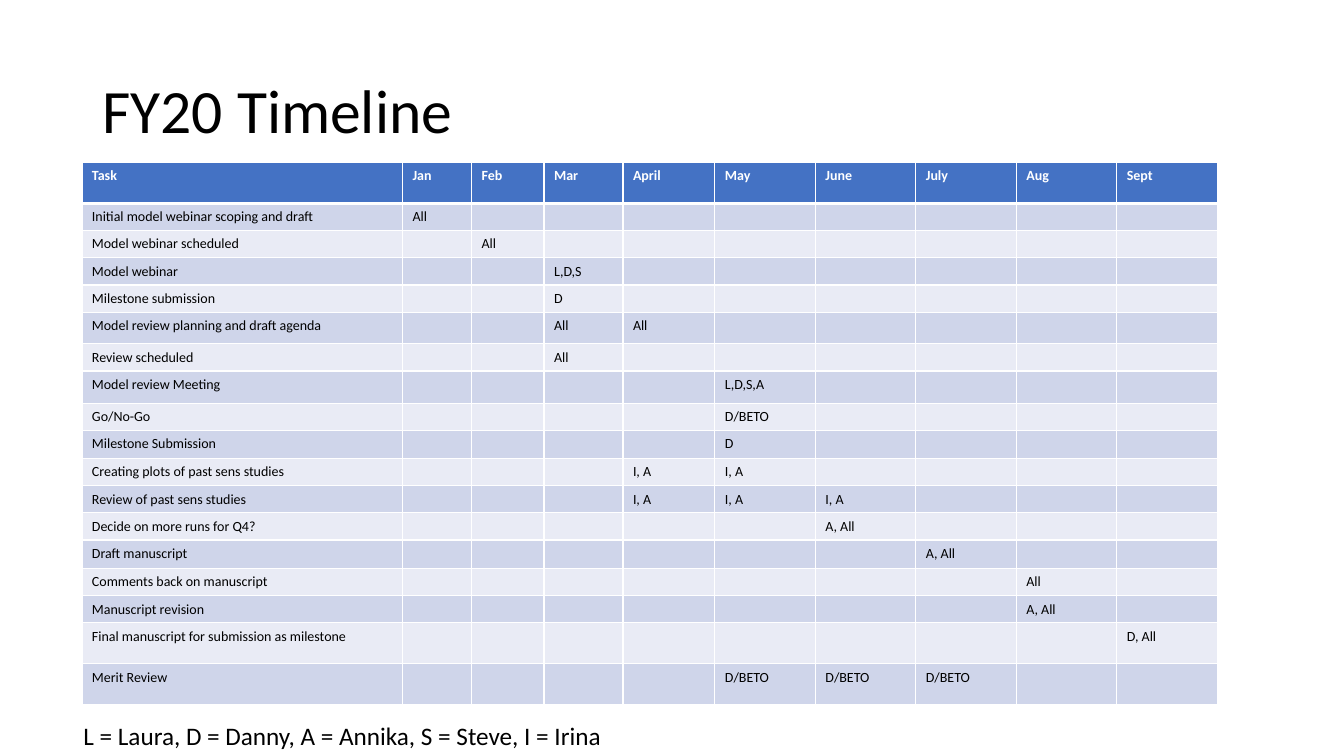
"""Builds the FY20 timeline slide with its task table and legend."""
from lxml.etree import SubElement
from pptx import Presentation
from pptx.dml.color import RGBColor
from pptx.enum.text import MSO_ANCHOR as Anchor, MSO_AUTO_SIZE as AutoSize, PP_ALIGN as Align
from pptx.oxml.ns import qn
from pptx.util import Pt

FONT = "Calibri"
BLACK = RGBColor(0x00, 0x00, 0x00)
WHITE = RGBColor(0xFF, 0xFF, 0xFF)
HEADER = RGBColor(0x44, 0x72, 0xC4)
BANDS = (RGBColor(0xE9, 0xEB, 0xF5), RGBColor(0xCF, 0xD5, 0xEA))

MONTHS = ["Jan", "Feb", "Mar", "April", "May", "June", "July", "Aug", "Sept"]
COL_WIDTHS = [229, 49.3, 51.8, 56.4, 65.7] + [71.8] * 5
ROW = 19.4
TALL_ROW = 29.2
TASKS = [
    ("Initial model webinar scoping and draft", ROW, {"Jan": "All"}),
    ("Model webinar scheduled", ROW, {"Feb": "All"}),
    ("Model webinar", ROW, {"Mar": "L,D,S"}),
    ("Milestone submission", 19.8, {"Mar": "D"}),
    ("Model review planning and draft agenda", 22.3, {"Mar": "All", "April": "All"}),
    ("Review scheduled", ROW, {"Mar": "All"}),
    ("Model review Meeting", 23.2, {"May": "L,D,S,A"}),
    ("Go/No-Go", ROW, {"May": "D/BETO"}),
    ("Milestone Submission", 20, {"May": "D"}),
    ("Creating plots of past sens studies", ROW, {"April": "I, A", "May": "I, A"}),
    ("Review of past sens studies", ROW, {"April": "I, A", "May": "I, A", "June": "I, A"}),
    ("Decide on more runs for Q4?", ROW, {"June": "A, All"}),
    ("Draft manuscript", 20.4, {"July": "A, All"}),
    ("Comments back on manuscript", ROW, {"Aug": "All"}),
    ("Manuscript revision", ROW, {"Aug": "A, All"}),
    ("Final manuscript for submission as milestone", TALL_ROW, {"Sept": "D, All"}),
    ("Merit Review", TALL_ROW, {"May": "D/BETO", "June": "D/BETO", "July": "D/BETO"}),
]


def add_run(p, text, size, color, bold=False):
    """Add one formatted run to a paragraph."""
    r = p.add_run()
    r.text = text
    r.font.name = FONT
    r.font.size = Pt(size)
    r.font.bold = bold
    r.font.color.rgb = color


def set_border(cell, side, width):
    """Draw a white line on one side of a cell."""
    ln = SubElement(cell._tc.get_or_add_tcPr(), qn(f"a:ln{side}"), w=str(Pt(width)))
    fill = SubElement(ln, qn("a:solidFill"))
    SubElement(fill, qn("a:srgbClr"), val=str(WHITE))


def fill_cell(cell, text, row):
    """Write and colour a cell according to its row."""
    for side in "LRTB":
        thick = (row, side) in ((0, "B"), (1, "T"))
        set_border(cell, side, 3 if thick else 1)
    cell.fill.solid()
    cell.fill.fore_color.rgb = BANDS[row % 2] if row else HEADER
    p = cell.text_frame.paragraphs[0]
    if text:
        add_run(p, text, 10, BLACK if row else WHITE, bold=row == 0)
    else:
        SubElement(p._p, qn("a:endParaRPr"), sz="1000")


def add_title(s, text):
    """Place and write the slide title."""
    sp = s.shapes.title
    sp.left, sp.top, sp.width, sp.height = Pt(66), Pt(28.75), Pt(828), Pt(104.4)
    tf = sp.text_frame
    tf.vertical_anchor = Anchor.MIDDLE
    p = tf.paragraphs[0]
    p.alignment = Align.LEFT
    p.line_spacing = 0.9
    add_run(p, text, 44, BLACK)


def add_timeline(s):
    """Add the table of tasks by month."""
    rows = [(TALL_ROW, ["Task"] + MONTHS)]
    rows += [(height, [task] + [who.get(m, "") for m in MONTHS]) for task, height, who in TASKS]
    height = sum(h for h, _ in rows)
    table = s.shapes.add_table(len(rows), len(COL_WIDTHS), Pt(58.5), Pt(116.2),
                               Pt(sum(COL_WIDTHS)), Pt(height)).table
    for col, width in zip(table.columns, COL_WIDTHS):
        col.width = Pt(width)
    for i, (height, texts) in enumerate(rows):
        table.rows[i].height = Pt(height)
        for j, text in enumerate(texts):
            fill_cell(table.cell(i, j), text, i)


def add_legend(s, text):
    """Add the key to the initials below the table."""
    tf = s.shapes.add_textbox(Pt(52.5), Pt(511.2), Pt(388.8), Pt(29)).text_frame
    tf.word_wrap = False
    tf.auto_size = AutoSize.SHAPE_TO_FIT_TEXT
    add_run(tf.paragraphs[0], text, 18, BLACK)


def main():
    """Build and save the slide."""
    prs = Presentation()
    prs.slide_width, prs.slide_height = Pt(960), Pt(540)
    s = prs.slides.add_slide(prs.slide_layouts[5])
    add_title(s, "FY20 Timeline")
    add_timeline(s)
    add_legend(s, "L = Laura, D = Danny, A = Annika, S = Steve, I = Irina")
    prs.save("out.pptx")


if __name__ == "__main__":
    main()
